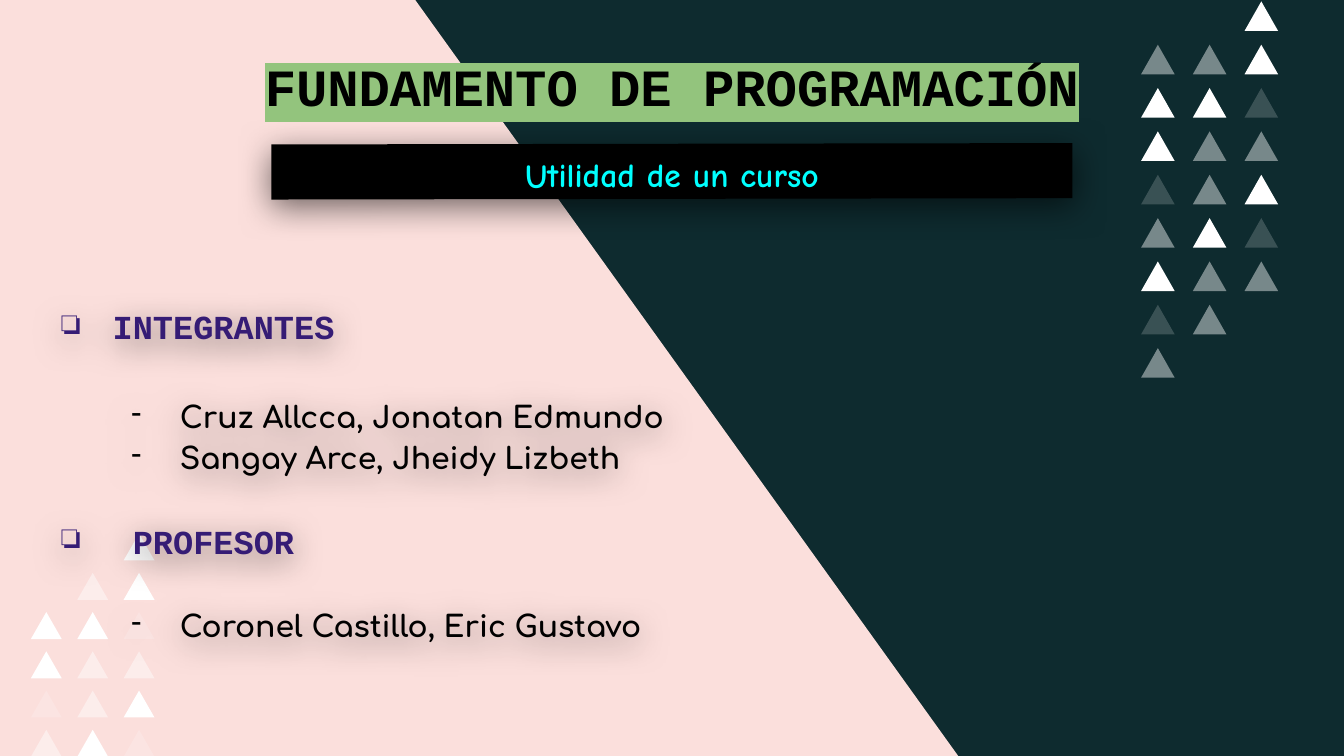
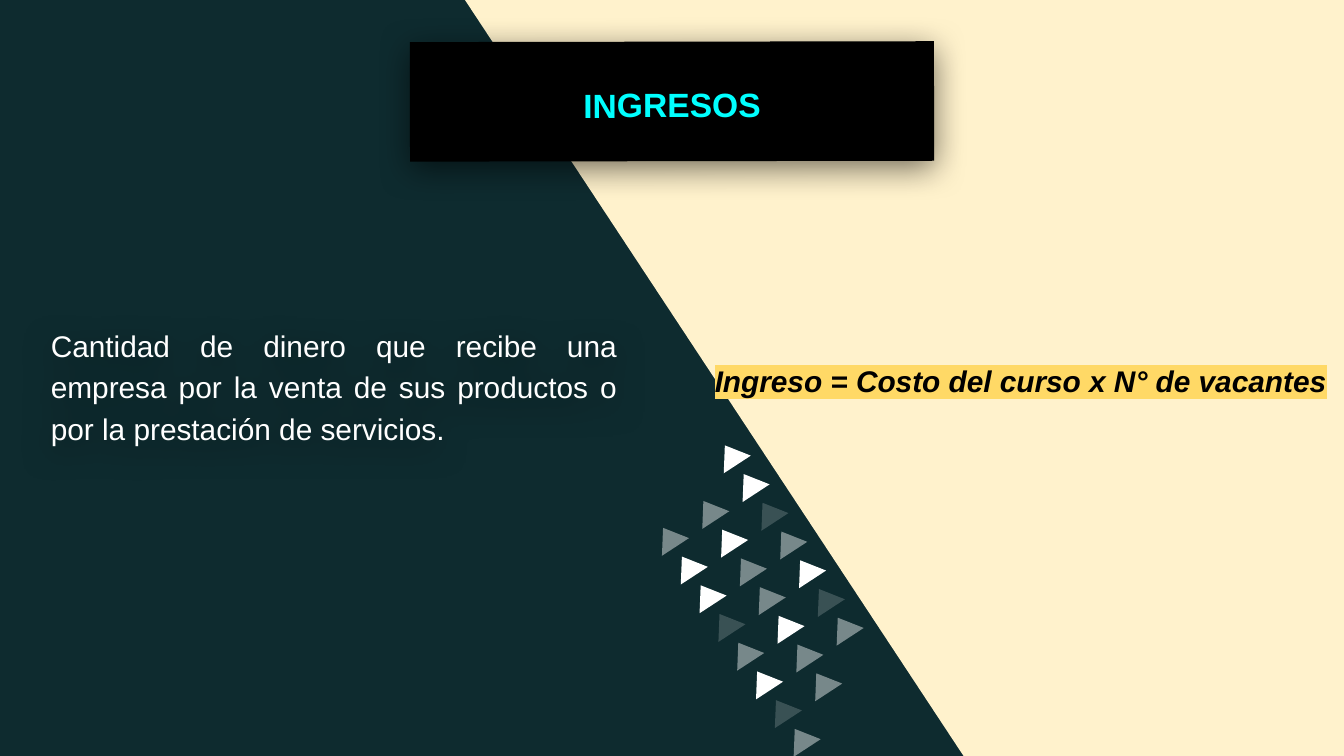
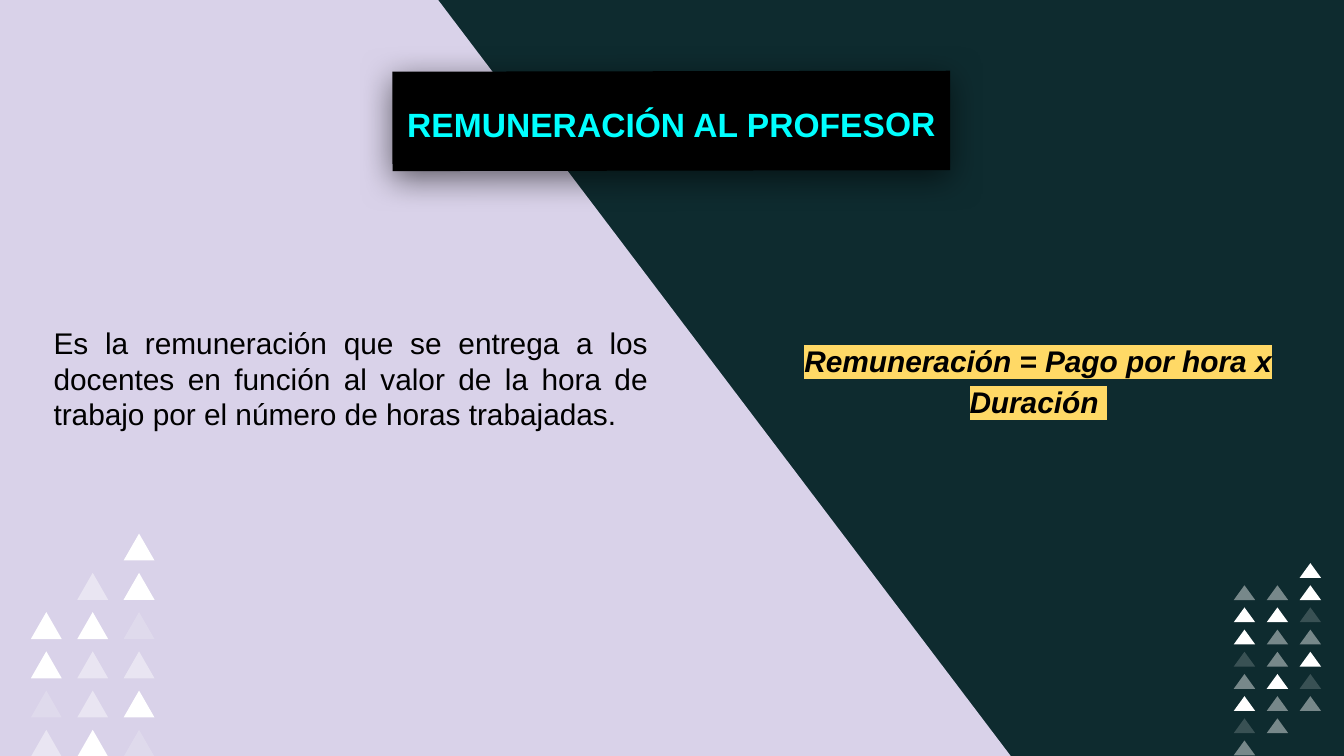
import pptx
import pptx.dml.color
import pptx.enum.shapes
import pptx.enum.text
import pptx.oxml.ns
import pptx.util
from lxml import etree

qn = pptx.oxml.ns.qn
Pt = pptx.util.Pt
ALIGN = pptx.enum.text.PP_ALIGN

SLIDE_WIDTH, SLIDE_HEIGHT = Pt(720), Pt(405)
TITLE_ONLY = 5
TILT = -0.1

COLORS = {
    "night": "0E2B2F", "rose": "FBDFDC", "cream": "FFF2CC", "lilac": "D9D2E9",
    "white": "FFFFFF", "black": "000000", "cyan": "00FFFF", "purple": "351C75",
    "green": "93C47D", "yellow": "FFD966",
}

# Each string is a column read downwards: w white, h half, l low, space none.
TALL_PATTERN = (" hwwlhwlh", " hwhhwhh", "wwlhwlh")
SHORT_PATTERN = ("  wwlh", " hwhhw", "wwlhwl")
OPACITY = {"w": 100, "h": 44, "l": 18}

# Each style: font attributes, text colour, highlight colour.
STYLES = {
    "cover": ({"name": "Courier New", "size": Pt(28), "bold": True}, "black", "green"),
    "subtitle": ({"name": "Comic Neue", "size": Pt(18), "bold": True}, "cyan", None),
    "title": ({"name": "Arial", "size": Pt(18), "bold": True}, "cyan", None),
    "heading": ({"name": "Courier New", "size": Pt(18), "bold": True}, "purple", None),
    "person": ({"name": "Comfortaa", "size": Pt(16), "bold": True}, "black", None),
    "light_body": ({"name": "Arial", "size": Pt(16)}, "white", None),
    "dark_body": ({"name": "Arial", "size": Pt(16)}, "black", None),
    "formula": ({"name": "Arial", "size": Pt(16), "bold": True, "italic": True},
                "black", "yellow"),
}

# Each bullet: character, colour, left margin and hanging indent in inches.
BULLETS = {"heading": ("❏", "purple", 0.5, -0.38), "person": ("-", "black", 1, -0.36)}


def rgb(color):
    return pptx.dml.color.RGBColor.from_string(COLORS[color])


def across(percent):
    return round(SLIDE_WIDTH * percent / 100)


def down(percent):
    return round(SLIDE_HEIGHT * percent / 100)


def area(left, top, width, height):
    return across(left), down(top), across(width), down(height)


def add_child(parent, tag, **values):
    return etree.SubElement(parent, qn(tag), {key: str(value) for key, value in values.items()})


def paint(shape, color, opacity=100):
    """Give a shape a plain fill without line or shadow."""
    shape.shadow.inherit = False
    shape.line.fill.background()
    shape.fill.solid()
    shape.fill.fore_color.rgb = rgb(color)
    if opacity < 100:
        add_child(next(shape.element.iter(qn("a:srgbClr"))), "a:alpha", val=opacity * 1000)


def cast_shadow(shape):
    shape.shadow.inherit = False
    effects = next(shape.element.iter(qn("a:effectLst")))
    shadow = add_child(effects, "a:outerShdw", blurRad=Pt(18), dist=Pt(4),
                       dir=90 * 60000, algn="bl", rotWithShape=0)
    color = add_child(shadow, "a:srgbClr", val=COLORS["black"])
    add_child(color, "a:alpha", val=55000)


def add_bullet(para, mark, color, margin, indent):
    properties = para._p.get_or_add_pPr()
    properties.set("marL", str(pptx.util.Inches(margin)))
    properties.set("indent", str(pptx.util.Inches(indent)))
    bullet_color = add_child(properties, "a:buClr")
    add_child(bullet_color, "a:srgbClr", val=COLORS[color])
    add_child(properties, "a:buChar", char=mark)


def add_span(para, text, style):
    values, color, highlight = STYLES[style]
    span = para.add_run()
    span.text = text
    for name, value in values.items():
        setattr(span.font, name, value)
    span.font.color.rgb = rgb(color)
    if highlight:
        mark = etree.Element(qn("a:highlight"))
        add_child(mark, "a:srgbClr", val=COLORS[highlight])
        span.font._element.find(qn("a:latin")).addprevious(mark)


def write(shape, lines, align=ALIGN.CENTER, spacing=1.15, inset=0.05, bottom=None):
    """Fill a shape with lines of (text, style, points before)."""
    frame = shape.text_frame
    frame_values = {
        "word_wrap": True,
        "auto_size": pptx.enum.text.MSO_AUTO_SIZE.NONE,
        "vertical_anchor": pptx.enum.text.MSO_ANCHOR.MIDDLE,
        "margin_left": pptx.util.Inches(0.1),
        "margin_right": pptx.util.Inches(0.1),
        "margin_top": pptx.util.Inches(inset),
        "margin_bottom": pptx.util.Inches(bottom or inset),
    }
    for name, value in frame_values.items():
        setattr(frame, name, value)
    for index, (text, style, before) in enumerate(lines):
        para = frame.add_paragraph() if index else frame.paragraphs[0]
        para.alignment = align
        para.line_spacing = spacing
        para.space_before = Pt(before)
        if style in BULLETS:
            add_bullet(para, *BULLETS[style])
        add_span(para, text, style)


def add_panel(page, color, top, bottom, side=0):
    """Colour the slide from one side edge to a slanting line."""
    builder = page.shapes.build_freeform(across(side), 0)
    corners = [(side, 100), (bottom, 100), (top, 0)]
    builder.add_line_segments([(across(x), down(y)) for x, y in corners])
    paint(builder.convert_to_shape(), color)


def add_triangles(page, pattern, origin, columns, rows, size, rotation=0):
    """Spread triangles; columns and rows are vectors from the first to the last."""
    group = page.shapes.add_group_shape()
    last_column = len(pattern) - 1
    last_row = max(map(len, pattern)) - 1
    for column, marks in enumerate(pattern):
        for row, mark in enumerate(marks):
            if mark == " ":
                continue
            left, top = (start + wide * column / last_column + tall * row / last_row
                         for start, wide, tall in zip(origin, columns, rows))
            triangle = group.shapes.add_shape(
                pptx.enum.shapes.MSO_SHAPE.ISOSCELES_TRIANGLE, *area(left, top, *size))
            triangle.rotation = rotation
            paint(triangle, "white", OPACITY[mark])


def add_corner_triangles(page):
    add_triangles(page, SHORT_PATTERN, (2.3, 70.58), (6.9, 0), (0, 25.96), (2.3, 3.56))


def add_text(page, place, lines, shadow=False, **layout):
    box = page.shapes.add_textbox(*area(*place))
    write(box, lines, **layout)
    if shadow:
        cast_shadow(box)


def set_title(page, place, text, style, **layout):
    title = page.shapes.title
    title.left, title.top, title.width, title.height = area(*place)
    write(title, [(text, style, 0)], **layout)
    title.element.getparent().append(title.element)
    return title


def make_band(shape):
    """Turn a shape into a black, slightly tilted band with a shadow."""
    paint(shape, "black")
    cast_shadow(shape)
    shape.rotation = TILT


def add_page(deck):
    return deck.slides.add_slide(deck.slide_layouts[TITLE_ONLY])


def build_cover(page):
    add_panel(page, "rose", 30.9, 71.3)
    add_triangles(page, TALL_PATTERN, (84.9, 0.18), (7.7, 0), (0, 45.87), (2.5, 3.91))
    add_corner_triangles(page)
    subtitle = page.shapes.add_shape(
        pptx.enum.shapes.MSO_SHAPE.RECTANGLE, *area(20.2, 19.02, 59.6, 7.29))
    make_band(subtitle)
    write(subtitle, [("Utilidad de un curso", "subtitle", 0)])
    people = [
        ("INTEGRANTES", "heading", 0),
        ("Cruz Allcca, Jonatan Edmundo", "person", 25),
        ("Sangay Arce, Jheidy Lizbeth", "person", 0),
        (" PROFESOR", "heading", 21),
        ("Coronel Castillo, Eric Gustavo", "person", 22),
    ]
    add_text(page, (2.4, 35.91, 51.6, 56.53), people, shadow=True,
             align=ALIGN.LEFT, bottom=0.25)
    set_title(page, (10.1, 2.31, 79.8, 16.71), "FUNDAMENTO DE PROGRAMACIÓN", "cover", inset=0.1)


def build_income(page):
    add_panel(page, "cream", 34.6, 71.7, side=100)
    add_triangles(page, TALL_PATTERN, (47.2, 65.78), (6, -7.11), (11.2, 30.4),
                  (2.4, 3.02), rotation=-33.1)
    meaning = ("Cantidad de dinero que recibe una empresa por la venta de sus productos "
               "o por la prestación de servicios.")
    add_text(page, (2.8, 21.33, 44.1, 67.73), [(meaning, "light_body", 0)], shadow=True,
             align=ALIGN.JUSTIFY, bottom=0.54)
    make_band(set_title(page, (30.5, 5.51, 39, 15.82), "INGRESOS", "title"))
    add_text(page, (51, 20.8, 49.9, 58.31),
             [("Ingreso = Costo del curso x N° de vacantes", "formula", 0)], inset=0.1)


def build_pay(page):
    add_panel(page, "lilac", 32.6, 75.2)
    add_triangles(page, TALL_PATTERN, (91.8, 74.49), (4.9, 0), (0, 23.47), (1.6, 1.96))
    add_corner_triangles(page)
    make_band(set_title(page, (29.2, 9.42, 41.5, 13.16), "REMUNERACIÓN AL PROFESOR", "title"))
    add_text(page, (55.2, 42.67, 44.1, 14.76),
             [("Remuneración = Pago por hora x Duración ", "formula", 0)], inset=0.1)
    meaning = ("Es la remuneración que se entrega a los docentes en función al valor de la "
               "hora de trabajo por el número de horas trabajadas.")
    add_text(page, (3, 36.44, 46.2, 27.2), [(meaning, "dark_body", 0)],
             align=ALIGN.JUSTIFY, spacing=1.0, inset=0.1)


def main():
    deck = pptx.Presentation()
    deck.slide_width, deck.slide_height = SLIDE_WIDTH, SLIDE_HEIGHT
    backdrop = deck.slide_master.background.fill
    backdrop.solid()
    backdrop.fore_color.rgb = rgb("night")
    for build in (build_cover, build_income, build_pay):
        build(add_page(deck))
    deck.save("out.pptx")


if __name__ == "__main__":
    main()
